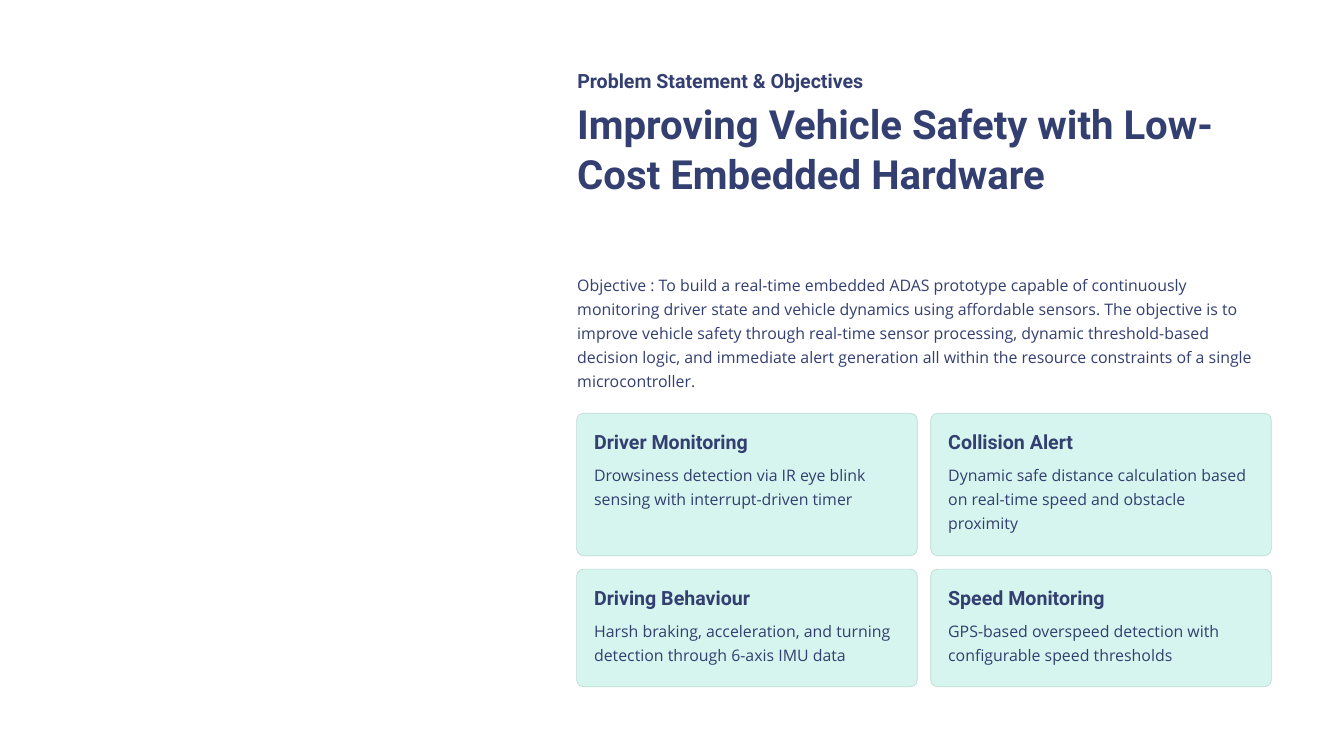
from dataclasses import dataclass

from pptx import Presentation
from pptx.dml.color import RGBColor
from pptx.enum.shapes import MSO_SHAPE
from pptx.slide import Slide
from pptx.util import Pt

COLORS = {"background": "FFFFFF", "card": "D6F5EE", "border": "BCDBD4", "text": "333F70"}
TEXT_LEFT, TEXT_WIDTH = 618.5, 743.8
CARD_LEFT, CARD_WIDTH, CARD_GAP = 617.8, 365, 14.4
CARD_TOP, ROW_GAP = 442.8, 14.4
PADDING, CORNER_RADIUS = 18.7, 7.4
HEADING = {"size": 21, "font": "Roboto", "spacing": 26.2, "bold": True}
TITLE = {"size": 43, "font": "Roboto", "spacing": 53.7, "bold": True}
BODY = {"size": 17, "font": "Open Sans", "spacing": 25.7}


@dataclass
class Card:
    heading: str
    body: str


@dataclass
class CardRow:
    height: float
    cards: list[Card]


CARD_ROWS = [
    CardRow(152.6, [
        Card("Driver Monitoring",
             "Drowsiness detection via IR eye blink sensing with interrupt-driven timer"),
        Card("Collision Alert",
             "Dynamic safe distance calculation based on real-time speed and obstacle proximity"),
    ]),
    CardRow(126, [
        Card("Driving Behaviour",
             "Harsh braking, acceleration, and turning detection through 6-axis IMU data"),
        Card("Speed Monitoring",
             "GPS-based overspeed detection with configurable speed thresholds"),
    ]),
]
OBJECTIVE = (
    "Objective : To build a real-time embedded ADAS prototype capable of continuously "
    "monitoring driver state and vehicle dynamics using affordable sensors. The objective is to "
    "improve vehicle safety through real-time sensor processing, dynamic threshold-based "
    "decision logic, and immediate alert generation all within the resource constraints of a "
    "single microcontroller."
)


def add_text(slide: Slide, text: str, left: float, top: float, width: float, height: float, *,
             size: float, font: str, spacing: float, bold: bool = False) -> None:
    """Add a wrapped text box without margins."""
    shape = slide.shapes.add_textbox(Pt(left), Pt(top), Pt(width), Pt(height))
    frame = shape.text_frame
    frame.word_wrap = True
    frame.margin_left = frame.margin_top = frame.margin_right = frame.margin_bottom = 0
    paragraph = frame.paragraphs[0]
    paragraph.line_spacing = Pt(spacing)
    run = paragraph.add_run()
    run.text = text
    run.font.size = Pt(size)
    run.font.name = font
    run.font.bold = bold
    run.font.color.rgb = RGBColor.from_string(COLORS["text"])


def add_card(slide: Slide, card: Card, left: float, top: float, height: float) -> None:
    """Draw a rounded card with its heading and body."""
    shape = slide.shapes.add_shape(
        MSO_SHAPE.ROUNDED_RECTANGLE, Pt(left), Pt(top), Pt(CARD_WIDTH), Pt(height))
    shape.adjustments[0] = CORNER_RADIUS / height
    shape.shadow.inherit = False
    shape.fill.solid()
    shape.fill.fore_color.rgb = RGBColor.from_string(COLORS["card"])
    shape.line.color.rgb = RGBColor.from_string(COLORS["border"])
    shape.line.width = Pt(0.75)
    text_left, text_width = left + PADDING, CARD_WIDTH - 2 * PADDING
    add_text(slide, card.heading, text_left, top + 17, text_width, 28.8, **HEADING)
    add_text(slide, card.body, text_left, top + 51.1, text_width, height - 69.8, **BODY)


def main() -> None:
    """Build the problem statement slide."""
    presentation = Presentation()
    presentation.slide_width, presentation.slide_height = Pt(1440), Pt(810)
    slide = presentation.slides.add_slide(presentation.slide_layouts[6])
    slide.background.fill.solid()
    slide.background.fill.fore_color.rgb = RGBColor.from_string(COLORS["background"])

    add_text(slide, "Problem Statement & Objectives", TEXT_LEFT, 72.7, 517, 28.8, **HEADING)
    add_text(slide, "Improving Vehicle Safety with Low-Cost Embedded Hardware",
             TEXT_LEFT, 104.4, TEXT_WIDTH, 166.3, **TITLE)
    add_text(slide, OBJECTIVE, TEXT_LEFT, 290.2, TEXT_WIDTH, 126, **BODY)

    top = CARD_TOP
    for row in CARD_ROWS:
        for column, card in enumerate(row.cards):
            add_card(slide, card, CARD_LEFT + column * (CARD_WIDTH + CARD_GAP), top, row.height)
        top += row.height + ROW_GAP
    presentation.save("out.pptx")


if __name__ == "__main__":
    main()
